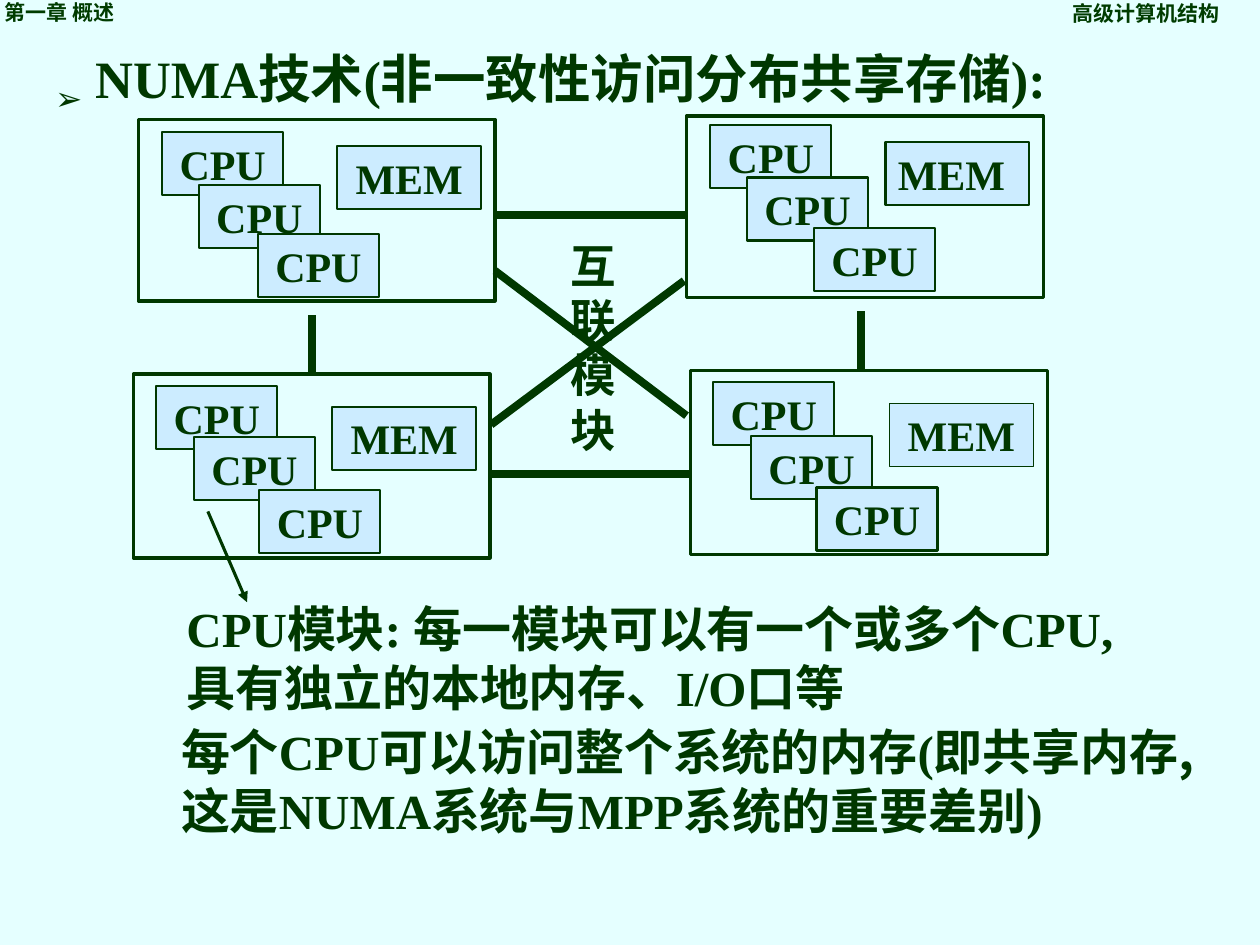
from dataclasses import dataclass

from lxml.etree import SubElement
from pptx import Presentation
from pptx.dml.color import RGBColor
from pptx.enum.shapes import MSO_CONNECTOR as Connector, MSO_SHAPE as Shape
from pptx.enum.text import MSO_ANCHOR as Anchor, PP_ALIGN as Align
from pptx.oxml.ns import qn
from pptx.util import Cm, Pt

INK, HEADER_INK, CHIP_FILL, BACKGROUND = "003800", "003C00", "CCECFF", "E5FFFF"
LATIN, CHINESE = "Times New Roman", "Noto Sans CJK SC"
CHIP_HEIGHT, CPU_WIDTH, MEM_WIDTH = 1.27, 2.44, 2.9
FRAME_WIDTH, MEM_OFFSET = 7.19, 4.01


@dataclass
class Module:
    """One NUMA node; lengths in cm, chip offsets from the frame's corner."""
    left: float
    top: float
    height: float
    cpu_offsets: list[tuple[float, float]]
    mem_top: float
    mem_align: Align = Align.CENTER
    mem_line: float = 1.25


@dataclass
class Link:
    start: tuple[float, float]
    end: tuple[float, float]
    width: float = 4.5
    arrow: bool = False


MODULES = [
    Module(2.79, 2.41, 3.66, [(0.48, 0.25), (1.22, 1.32), (2.41, 2.31)], 0.53),
    Module(13.84, 2.34, 3.66, [(0.48, 0.18), (1.22, 1.24), (2.57, 2.26)], 0.53,
           mem_align=Align.LEFT),
    Module(13.92, 7.47, 3.71, [(0.46, 0.23), (1.22, 1.32), (2.54, 2.36)], 0.66,
           mem_line=0.75),
    Module(2.69, 7.54, 3.71, [(0.46, 0.25), (1.22, 1.27), (2.54, 2.34)], 0.66),
]
LINKS = [
    Link((9.98, 4.34), (13.82, 4.34)),
    Link((9.9, 9.55), (13.94, 9.55)),
    Link((13.79, 5.66), (9.9, 8.56)),
    Link((9.98, 5.46), (13.84, 8.38)),
    Link((17.35, 6.27), (17.35, 7.47)),
]


def color(value: str) -> RGBColor:
    return RGBColor.from_string(value)


def add_run(paragraph, text: str, *, size: float, font: str = LATIN,
            ink: str = INK, baseline: int = 0) -> None:
    run = paragraph.add_run()
    run.text = text
    run.font.size = Pt(size)
    run.font.bold = True
    run.font.name = font
    run.font.color.rgb = color(ink)
    properties = run.font._element
    if baseline:
        properties.set("baseline", str(baseline))
    SubElement(properties, qn("a:ea")).set("typeface", CHINESE)


def add_text(slide, text: str, left: float, top: float, width: float,
             height: float, **style):
    box = slide.shapes.add_textbox(Cm(left), Cm(top), Cm(width), Cm(height))
    box.text_frame.word_wrap = True
    paragraph = box.text_frame.paragraphs[0]
    if text:
        add_run(paragraph, text, **style)
    return paragraph


def add_box(slide, left: float, top: float, width: float, height: float, *,
            line: float, fill: str = "", text: str = "",
            align: Align = Align.CENTER):
    box = slide.shapes.add_shape(Shape.RECTANGLE, Cm(left), Cm(top),
                                 Cm(width), Cm(height))
    box.shadow.inherit = False
    box.line.color.rgb = color(INK)
    box.line.width = Pt(line)
    if fill:
        box.fill.solid()
        box.fill.fore_color.rgb = color(fill)
    else:
        box.fill.background()
    if text:
        box.text_frame.vertical_anchor = Anchor.TOP
        paragraph = box.text_frame.paragraphs[0]
        paragraph.alignment = align
        add_run(paragraph, text, size=24)
    return box


def add_module(slide, module: Module):
    frame = add_box(slide, module.left, module.top, FRAME_WIDTH, module.height,
                    line=1.75)
    for x, y in module.cpu_offsets:
        add_box(slide, module.left + x, module.top + y, CPU_WIDTH, CHIP_HEIGHT,
                line=1.25, fill=CHIP_FILL, text="CPU")
    add_box(slide, module.left + MEM_OFFSET, module.top + module.mem_top,
            MEM_WIDTH, CHIP_HEIGHT, line=module.mem_line, fill=CHIP_FILL,
            text="MEM", align=module.mem_align)
    return frame


def add_link(slide, link: Link):
    connector = slide.shapes.add_connector(
        Connector.STRAIGHT, *map(Cm, link.start), *map(Cm, link.end))
    connector.line.color.rgb = color(INK)
    connector.line.width = Pt(link.width)
    if link.arrow:
        line = connector.line._get_or_add_ln()
        SubElement(line, qn("a:tailEnd")).set("type", "triangle")
    SubElement(connector._element.spPr, qn("a:effectLst"))
    return connector


def main() -> None:
    presentation = Presentation()
    presentation.slide_width, presentation.slide_height = Cm(25.4), Cm(19.05)
    slide = presentation.slides.add_slide(presentation.slide_layouts[6])
    slide.background.fill.solid()
    slide.background.fill.fore_color.rgb = color(BACKGROUND)

    # Running header
    add_text(slide, "第一章 概述", -0.15, -0.13, 5.82, 0.76,
             size=12, ink=HEADER_INK)
    header = add_text(slide, "高级计算机结构", 21.37, -0.13, 3.98, 0.79,
                      size=12, ink=HEADER_INK)
    header.line_spacing = 1.05

    # Title with its lowered arrow mark
    title = add_text(slide, "", 0.86, 0.74, 22.07, 1.75)
    add_run(title, "➢", size=32, font="Arial", baseline=-20000)
    add_run(title, " NUMA技术(非一致性访问分布共享存储):", size=30)

    # Four modules and the interconnect
    frames = [add_module(slide, module) for module in MODULES]
    for link in LINKS:
        add_link(slide, link)
    lower_left = MODULES[3]
    middle = lower_left.left + FRAME_WIDTH / 2
    left_link = add_link(slide, Link((middle, 6.35), (middle, lower_left.top)))
    left_link.end_connect(frames[3], 0)
    add_text(slide, "互联模块", 11.25, 4.67, 1.45, 4.67, size=26, font=CHINESE)

    # Explanation
    modules_note = add_text(slide, "", 3.51, 11.94, 19.99, 2.64)
    add_run(modules_note, "CPU模块: 每一模块可以有一个或多个CPU, ", size=28)
    add_run(modules_note, "具有独立的本地内存、", size=28, font=CHINESE)
    add_run(modules_note, "I/O", size=28)
    add_run(modules_note, "口等", size=28, font=CHINESE)
    memory_note = add_text(slide, "", 3.4, 14.43, 21.26, 2.64)
    add_run(memory_note, "每个CPU可以访问整个系统的内存(", size=28)
    add_run(memory_note, "即共享内存, ", size=28, font=CHINESE)
    add_run(memory_note, "这是NUMA系统与MPP系统的重要差别)", size=28)
    add_link(slide, Link((4.19, 10.31), (4.98, 12.14), width=1.75, arrow=True))

    presentation.save("out.pptx")


if __name__ == "__main__":
    main()
